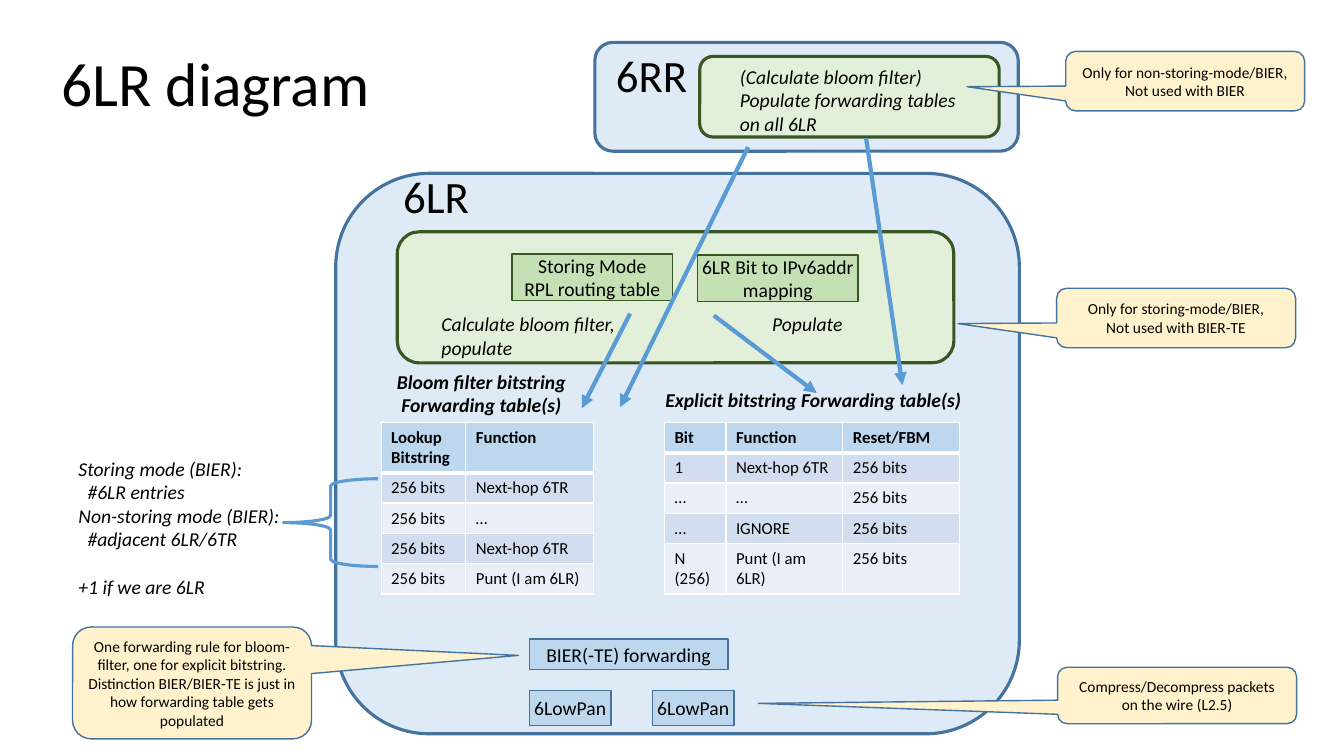
from lxml.etree import SubElement
from pptx import Presentation
from pptx.dml.color import RGBColor
from pptx.enum.shapes import MSO_CONNECTOR as Connector, MSO_SHAPE as Shape
from pptx.enum.text import MSO_ANCHOR as Anchor, PP_ALIGN as Align
from pptx.oxml.ns import qn
from pptx.util import Inches, Pt

COLORS = {
    "black": "000000", "white": "FFFFFF", "blue": "DEEBF7", "mid_blue": "BDD7EE",
    "edge": "43739E", "green": "E2F0D9", "mid_green": "C5E0B4", "dark_green": "385723",
    "arrow": "5B9BD5", "yellow": "FFF2CC", "odd_row": "D2DEEF", "even_row": "EAEFF7",
}
FONT = "Calibri"
LINE_HEIGHT = 0.2
TEXT_ROW, TALL_ROW = 0.3, 0.5

PANELS = [
    ((3.33, 1.72, 6.78, 5.56), "blue", "edge"),
    ((3.94, 2.3, 5.52, 1.3), "green", "dark_green"),
    ((5.9, 0.42, 4.2, 1.08), "blue", "edge"),
    ((6.94, 0.56, 2.97, 0.8), "green", "dark_green"),
]
NODES = [
    ((5.08, 2.52, 1.59, 0.46), "mid_green", "dark_green", ["Storing Mode", "RPL routing table"]),
    ((6.92, 2.53, 1.59, 0.46), "mid_green", "dark_green", ["6LR Bit to IPv6addr", "mapping"]),
    ((5.25, 6.34, 1.97, 0.3), "mid_blue", "edge", ["BIER(-TE) forwarding"]),
    ((5.25, 6.85, 0.81, 0.35), "mid_blue", "edge", ["6LowPan"]),
    ((6.47, 6.85, 0.81, 0.35), "mid_blue", "edge", ["6LowPan"]),
]
CALLOUTS = [
    ((0.72, 6.22, 2.37, 1.11), (1.365, -0.246),
     ["One forwarding rule for bloom-filter, one for explicit bitstring. "
      "Distinction BIER/BIER-TE is just in how forwarding table gets populated"]),
    ((10.48, 2.86, 2.37, 0.59), (-0.913, 0.094),
     ["Only for storing-mode/BIER,", "Not used with BIER-TE"]),
    ((10.49, 6.62, 2.37, 0.56), (-1.752, 0.14),
     ["Compress/Decompress packets on the wire (L2.5)"]),
    ((10.57, 0.51, 2.37, 0.59), (-0.913, 0.094),
     ["Only for non-storing-mode/BIER,", "Not used with BIER"]),
]
HEADINGS = [
    ((0.51, 0.4, 11.91, 0.83), ["6LR diagram"], 44),
    ((6.01, 0.42, 0.92, 0.64), ["6RR"], 32),
    ((3.9, 1.62, 0.86, 0.64), ["6LR"], 32),
]
ACTIONS = [
    ((4.28, 3.05, 2.25, 0.57), ["Calculate bloom filter,", "populate"]),
    ((7.56, 3.05, 2.25, 0.34), ["Populate"]),
    ((7.24, 0.59, 2.58, 0.81),
     ["(Calculate bloom filter)", "Populate forwarding tables on all 6LR"]),
]
ENTRY_COUNTS = ((0.68, 4.48, 2.6, 1.51), [
    "Storing mode (BIER):", "#6LR entries", "Non-storing mode (BIER):",
    "#adjacent 6LR/6TR", "+1 if we are 6LR"])
TABLE_TITLES = [
    ((3.42, 3.62, 2.71, 0.57), ["Bloom filter bitstring", "Forwarding table(s)"], Align.CENTER),
    ((6.5, 3.8, 3.21, 0.34), ["Explicit bitstring Forwarding table(s)"], Align.LEFT),
]
TABLES = [
    ((3.78, 4.19), (0.84, 1.27), 0, [
        ("Lookup\nBitstring", "Function"), ("256 bits", "Next-hop 6TR"), ("256 bits", "…"),
        ("256 bits", "Next-hop 6TR"), ("256 bits", "Punt (I am 6LR)")]),
    ((6.59, 4.19), (0.61, 1.16, 1.16), 4, [
        ("Bit", "Function", "Reset/FBM"), ("1", "Next-hop 6TR", "256 bits"),
        ("…", "…", "256 bits"), ("…", "IGNORE", "256 bits"),
        ("N (256)", "Punt (I am 6LR)", "256 bits")]),
]
BRACE = (2.81, 4.75, 0.94, 0.87)
ARROWS = [
    ((6.25, 3.11), (5.77, 4.05)), ((7.08, 3.13), (8.1, 3.9)),
    ((8.59, 1.37), (8.95, 3.82)), ((7.42, 1.46), (6.15, 4.04)),
]


def color(name):
    return RGBColor.from_string(COLORS[name])


def inches(values):
    return [Inches(value) for value in values]


def write(frame, lines, size, align=Align.LEFT, bold=False, italic=False):
    for index, line in enumerate(lines):
        paragraph = frame.paragraphs[0] if index == 0 else frame.add_paragraph()
        paragraph.alignment = align
        run = paragraph.add_run()
        run.text = line
        font = run.font
        font.name, font.size, font.bold, font.italic = FONT, Pt(size), bold, italic
        font.color.rgb = color("black")
    return frame


def add_text(box, lines, size, **style):
    frame = slide.shapes.add_textbox(*inches(box)).text_frame
    frame.word_wrap = True
    return write(frame, lines, size, **style)


def add_box(kind, box, fill, line, width):
    shape = slide.shapes.add_shape(kind, *inches(box))
    shape.shadow.inherit = False
    if fill:
        shape.fill.solid()
        shape.fill.fore_color.rgb = color(fill)
    else:
        shape.fill.background()
    shape.line.color.rgb = color(line)
    shape.line.width = Pt(width)
    shape.text_frame.vertical_anchor = Anchor.MIDDLE
    return shape


def border_cell(cell, widths):
    properties = cell._tc.get_or_add_tcPr()
    for index, (side, width) in enumerate(widths.items()):
        line = properties.makeelement(qn(f"a:{side}"), {"w": str(Pt(width))})
        fill = SubElement(line, qn("a:solidFill"))
        SubElement(fill, qn("a:srgbClr"), val=COLORS["white"])
        properties.insert(index, line)


def add_table(corner, columns, tall_row, rows):
    heights = [TALL_ROW if index == tall_row else TEXT_ROW for index in range(len(rows))]
    table = slide.shapes.add_table(
        len(rows), len(columns), *inches((*corner, sum(columns), sum(heights)))).table
    for column, width in zip(table.columns, columns):
        column.width = Inches(width)
    for row_index, values in enumerate(rows):
        table.rows[row_index].height = Inches(heights[row_index])
        header = row_index == 0
        fill = "mid_blue" if header else "odd_row" if row_index % 2 else "even_row"
        for column_index, value in enumerate(values):
            cell = table.cell(row_index, column_index)
            cell.fill.solid()
            cell.fill.fore_color.rgb = color(fill)
            write(cell.text_frame, value.split("\n"), 12, bold=header)
            border_cell(cell, {"lnL": 1, "lnR": 1, "lnT": 3 if row_index == 1 else 1,
                               "lnB": 3 if header else 1})


def add_arrow(start, end):
    arrow = slide.shapes.add_connector(Connector.STRAIGHT, *inches((*start, *end)))
    arrow.line.color.rgb = color("arrow")
    arrow.line.width = Pt(3)
    SubElement(arrow.line._get_or_add_ln(), qn("a:tailEnd"), type="triangle")
    SubElement(arrow._element.spPr, qn("a:effectLst"))


presentation = Presentation()
presentation.slide_width, presentation.slide_height = inches((13.33, 7.5))
slide = presentation.slides.add_slide(presentation.slide_layouts[6])

for box, fill, line in PANELS:
    add_box(Shape.ROUNDED_RECTANGLE, box, fill, line, 2.25)

for box, lines, size in HEADINGS:
    add_text(box, lines, size).vertical_anchor = Anchor.MIDDLE

for table in TABLES:
    add_table(*table)
for box, lines, align in TABLE_TITLES:
    add_text(box, lines, 14, align=align, bold=True, italic=True)

for box, fill, line, lines in NODES:
    frame = add_box(Shape.RECTANGLE, box, fill, line, 1).text_frame
    frame.margin_left = frame.margin_right = frame.margin_top = frame.margin_bottom = 0
    frame.word_wrap = False
    write(frame, lines, 14, align=Align.CENTER)

for box, lines in ACTIONS:
    add_text(box, lines, 14, italic=True)

add_box(Shape.LEFT_BRACE, BRACE, None, "arrow", 2.25)
counts = add_text(*ENTRY_COUNTS, 14, italic=True).paragraphs
for paragraph in (counts[1], counts[3]):
    paragraph._p.get_or_add_pPr().set("marL", str(Inches(0.09)))
counts[-1].space_before = Pt(17)

for box, tip, lines in CALLOUTS:
    callout = add_box(Shape.ROUNDED_RECTANGULAR_CALLOUT, box, "yellow", "edge", 1)
    for index, share in enumerate(tip):
        callout.adjustments[index] = share
    callout.text_frame.word_wrap = True
    write(callout.text_frame, lines, 11, align=Align.CENTER)

for start, end in ARROWS:
    add_arrow(start, end)

presentation.save("out.pptx")
